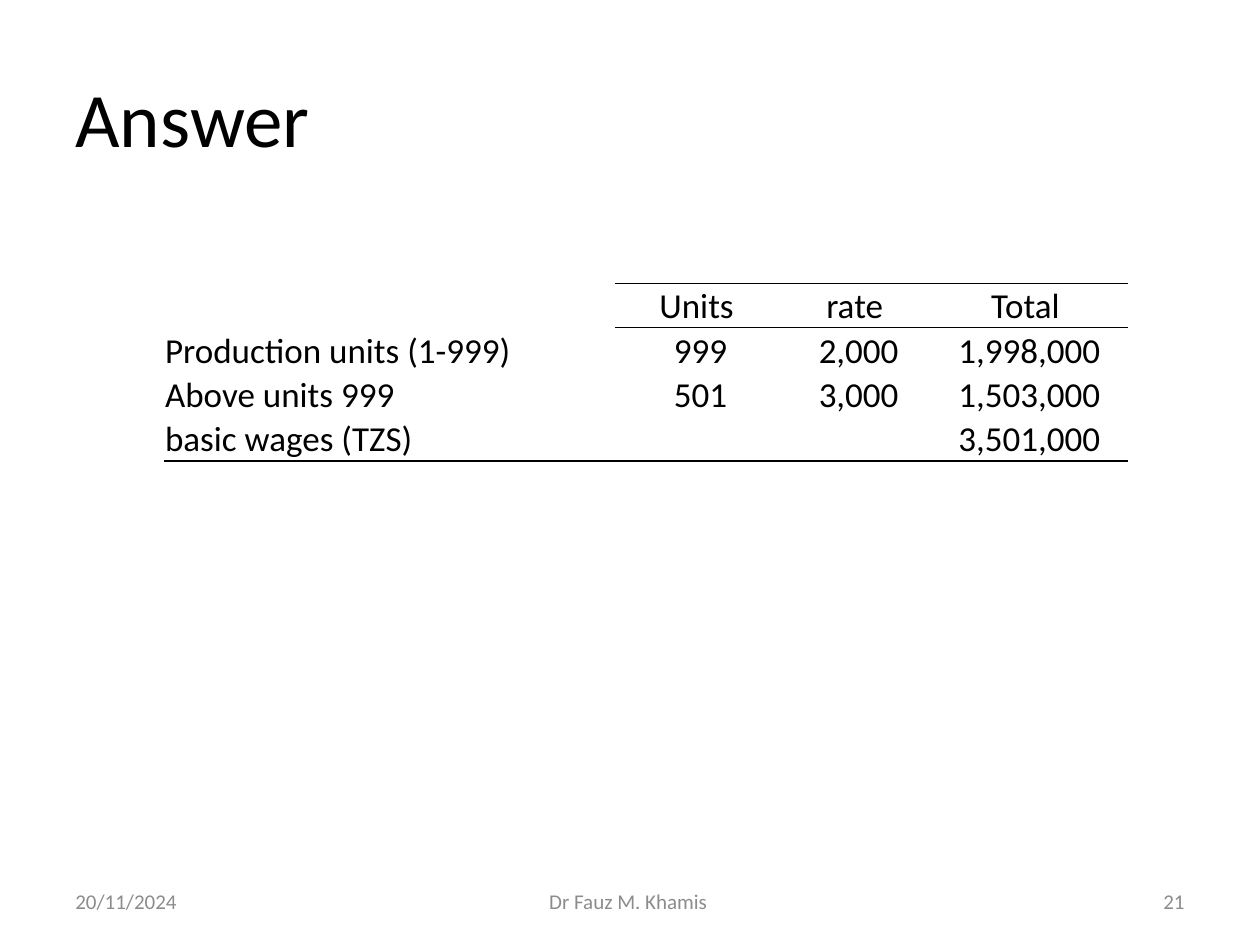
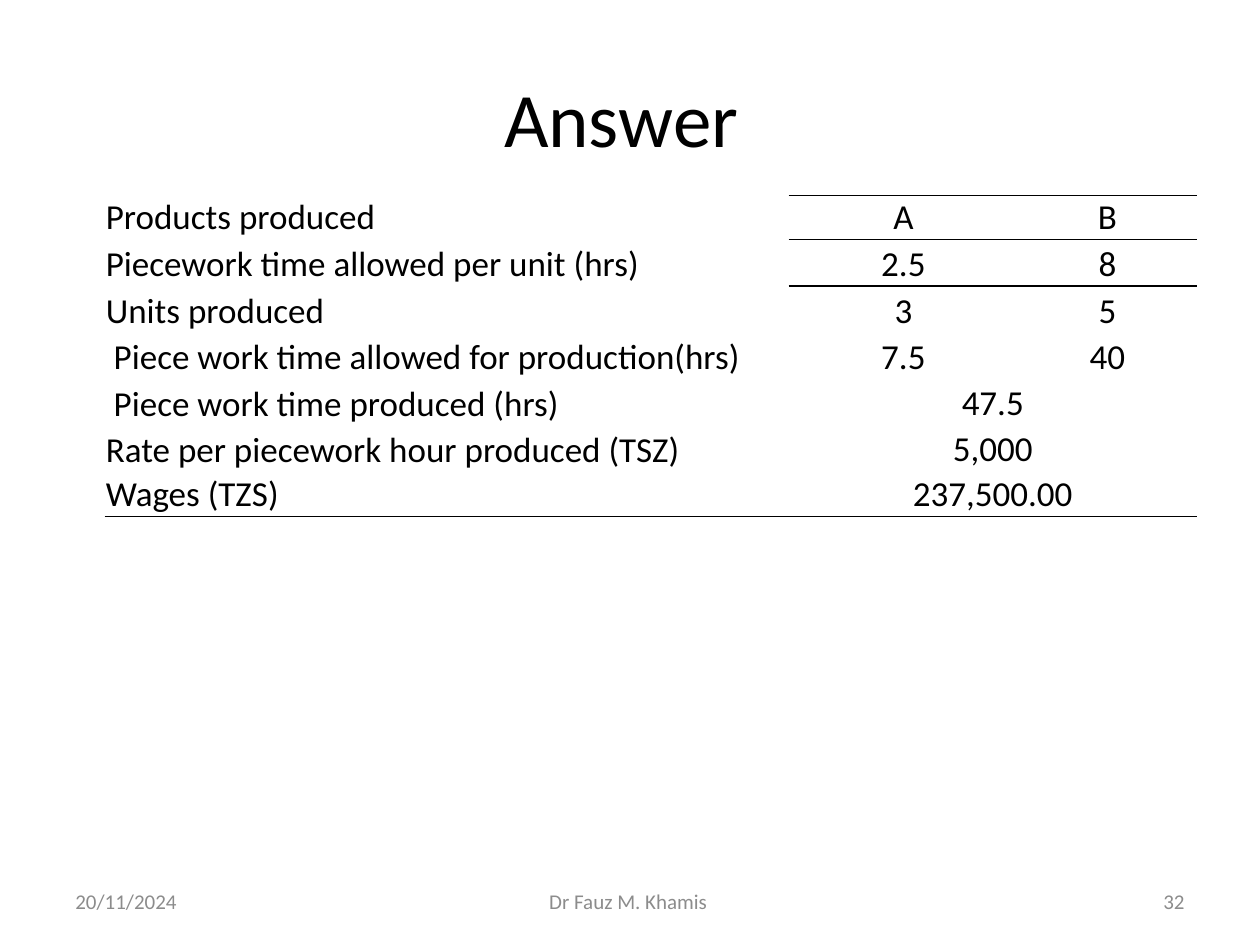
from dataclasses import dataclass

from lxml.etree import SubElement
from pptx import Presentation
from pptx.dml.color import RGBColor
from pptx.enum.text import MSO_ANCHOR, PP_ALIGN
from pptx.oxml import parse_xml
from pptx.oxml.ns import nsdecls, qn
from pptx.util import Pt

PX = 9144
PLAIN = "{2D5ABB26-0587-4C30-8999-92F81FD0307C}"


@dataclass(frozen=True)
class Theme:
    """Colours, font and type sizes of the deck."""
    font: str = "Calibri"
    ink: str = "000000"
    grey: str = "8C8C8C"
    head: int = 44
    body: int = 20
    foot: int = 12
    rule: int = 12700


class Deck:
    """Draws elements on the current slide in one theme."""

    def __init__(self, theme):
        self.theme = theme
        self.prs = Presentation()
        self.prs.slide_width, self.prs.slide_height = 1000 * PX, 750 * PX
        self.slide = None

    def style(self, para, size, color, align):
        """Set font and alignment of a paragraph."""
        para.alignment = align
        para.font.name = self.theme.font
        para.font.size = Pt(size)
        para.font.color.rgb = RGBColor.from_string(color)

    def text(self, box, words, size, color, align):
        """Add a vertically centred line of text."""
        frame = self.slide.shapes.add_textbox(*(n * PX for n in box)).text_frame
        frame.word_wrap = True
        frame.vertical_anchor = MSO_ANCHOR.MIDDLE
        frame.text = words
        self.style(frame.paragraphs[0], size, color, align)

    def page(self, number, align):
        """Start a slide with its title and footer."""
        self.slide = self.prs.slides.add_slide(self.prs.slide_layouts[6])
        look = self.theme
        self.text((50, 30, 900, 125), "Answer ", look.head, look.ink, align)
        for left, width, words, side in (
            (50, 233, "20/11/2024", PP_ALIGN.LEFT),
            (342, 317, "Dr Fauz M. Khamis ", PP_ALIGN.CENTER),
            (717, 233, str(number), PP_ALIGN.RIGHT),
        ):
            self.text((left, 695, width, 40), words, look.foot, look.grey, side)

    def rule(self, cell, tag):
        """Draw one border of a table cell."""
        line = parse_xml(f'<a:{tag} {nsdecls("a")} w="{self.theme.rule}"/>')
        fill = SubElement(line, qn("a:solidFill"))
        SubElement(fill, qn("a:srgbClr")).set("val", self.theme.ink)
        cell._tc.get_or_add_tcPr().insert(0, line)

    def table(self, left, top, cols, highs, rows, rules):
        """Add a table; rules map a row edge to its first column."""
        grid = self.slide.shapes.add_table(
            len(rows), len(cols), left * PX, top * PX,
            sum(cols) * PX, sum(highs) * PX).table
        grid.first_row = grid.horz_banding = False
        grid._tbl.tblPr.find(qn("a:tableStyleId")).text = PLAIN
        for col, width in zip(grid.columns, cols):
            col.width = width * PX
        for row, high in zip(grid.rows, highs):
            row.height = high * PX
        for r, row in enumerate(rows):
            for c, words in enumerate(row):
                self.fill(grid.cell(r, c), words, c)
            if len(row) < len(cols):
                last = grid.cell(r, len(row) - 1)
                last.merge(grid.cell(r, len(cols) - 1))
                last.vertical_anchor = MSO_ANCHOR.MIDDLE
        for edge in sorted(rules, reverse=True):
            for c in range(rules[edge], len(cols)):
                self.rule(grid.cell(max(edge - 1, 0), c), "lnB" if edge else "lnT")

    def fill(self, cell, words, col):
        """Write a cell, first column to the left."""
        cell.fill.background()
        cell.margin_left = cell.margin_right = cell.margin_top = PX
        cell.margin_bottom = 0
        cell.vertical_anchor = MSO_ANCHOR.BOTTOM
        cell.text = words
        self.style(cell.text_frame.paragraphs[0], self.theme.body, self.theme.ink,
                   PP_ALIGN.CENTER if col else PP_ALIGN.LEFT)


def main():
    """Build both answer slides."""
    deck = Deck(Theme())
    deck.page(21, PP_ALIGN.LEFT)
    deck.table(130, 225, (358, 136, 115, 156), (35, 36, 35, 35), (
        ("", "Units ", "rate ", "Total "),
        ("Production units (1-999)", "999", "2,000", "1,998,000"),
        ("Above units 999", "501", "3,000", "1,503,000"),
        ("basic wages (TZS)", "", "", "3,501,000"),
    ), {0: 1, 1: 1, 4: 0})
    deck.page(32, PP_ALIGN.CENTER)
    deck.table(83, 155, (543, 182, 142), (35, *[37] * 5, 35), (
        ("Products produced", "A", "B"),
        ("Piecework time allowed per unit (hrs)", "2.5", "8"),
        ("Units produced", "3", "5"),
        (" Piece work time allowed for production(hrs)", "7.5", "40"),
        (" Piece work time produced (hrs)", "47.5"),
        ("Rate per piecework hour produced (TSZ)", "5,000"),
        ("Wages (TZS)", " 237,500.00 "),
    ), {0: 1, 1: 1, 2: 1, 7: 0})
    deck.prs.save("out.pptx")


if __name__ == "__main__":
    main()
